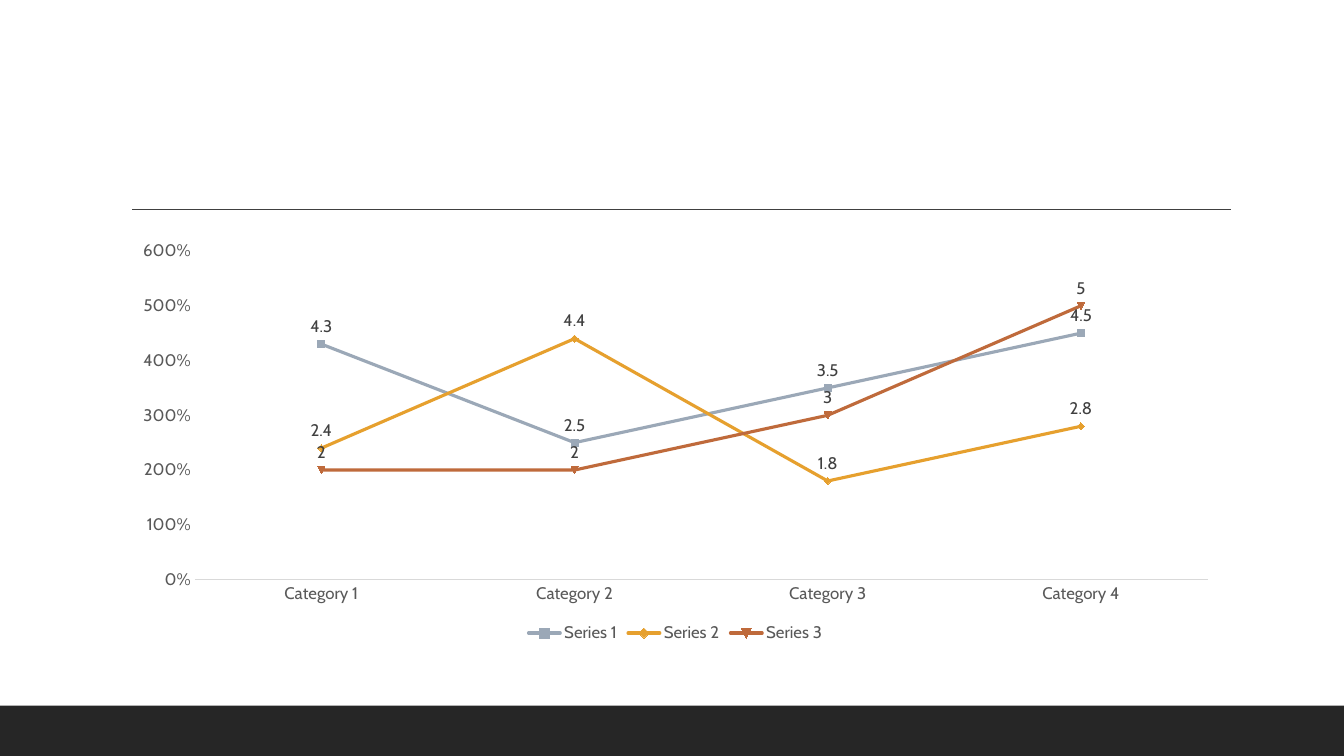
from lxml.etree import SubElement
from pptx import Presentation
from pptx.chart.data import CategoryChartData
from pptx.dml.color import RGBColor
from pptx.enum.chart import XL_CHART_TYPE, XL_LABEL_POSITION, XL_LEGEND_POSITION, XL_TICK_MARK
from pptx.enum.shapes import MSO_CONNECTOR, MSO_SHAPE
from pptx.oxml.ns import qn
from pptx.util import Inches, Pt

DARK = RGBColor(0x26, 0x26, 0x26)
INK = RGBColor(0x40, 0x40, 0x40)
GREY = RGBColor(0x59, 0x59, 0x59)
PALE = RGBColor(0xD9, 0xD9, 0xD9)
SLATE = RGBColor(0x9B, 0xA8, 0xB7)
AMBER = RGBColor(0xE6, 0xA0, 0x2E)
RUST = RGBColor(0xBF, 0x6A, 0x3B)

GROUPS = ["Category 1", "Category 2", "Category 3", "Category 4"]
TRENDS = [
    ("Series 1", (4.3, 2.5, 3.5, 4.5), SLATE),
    ("Series 2", (2.4, 4.4, 1.8, 2.8), AMBER),
    ("Series 3", (2, 2, 3, 5), RUST),
]


class Deck:
    """Holds the style and the current slide; lengths are percent of the slide."""

    face = "Cabin"
    size = Pt(12)

    def __init__(self):
        self.show = Presentation()
        self.show.slide_width = Inches(13.33)
        self.show.slide_height = Inches(7.5)
        self.slide = self.show.slides.add_slide(self.show.slide_layouts[6])

    def span(self, *shares):
        """Turn alternating across and down percentages into lengths."""
        sides = self.show.slide_width, self.show.slide_height
        return [round(sides[i % 2] * part / 100) for i, part in enumerate(shares)]

    def style(self, font, color):
        """Apply the deck's type in one colour."""
        font.name, font.size, font.bold = self.face, self.size, False
        font.color.rgb = color

    def band(self, box, color):
        """Draw a plain filled bar."""
        bar = self.slide.shapes.add_shape(MSO_SHAPE.RECTANGLE, *self.span(*box))
        bar.shadow.inherit = False
        bar.fill.solid()
        bar.fill.fore_color.rgb = color
        bar.line.fill.background()

    def rule(self, ends, color, width):
        """Draw a straight line."""
        line = self.slide.shapes.add_connector(MSO_CONNECTOR.STRAIGHT, *self.span(*ends))
        line.line.color.rgb = color
        line.line.width = Pt(width)
        SubElement(line._element.spPr, qn("a:effectLst"))

    def axis(self, axis):
        """Strip an axis of ticks and grid, and set its type."""
        axis.major_tick_mark = axis.minor_tick_mark = XL_TICK_MARK.NONE
        axis.has_major_gridlines = False
        self.style(axis.tick_labels.font, GREY)

    def trend(self, line, color):
        """Colour one series and label its points."""
        line.smooth = False
        line.format.line.color.rgb = color
        line.format.line.width = Pt(2.25)
        line.format.line._get_or_add_ln().set("cap", "rnd")
        line.marker.style = None
        tags = line.data_labels
        tags.show_value = True
        tags.position = XL_LABEL_POSITION.ABOVE
        self.style(tags.font, INK)

    def chart(self, box, groups, trends):
        """Add the line chart with its axes and legend."""
        data = CategoryChartData()
        data.categories = groups
        for name, values, _ in trends:
            data.add_series(name, values)
        chart = self.slide.shapes.add_chart(XL_CHART_TYPE.LINE, *self.span(*box), data).chart
        chart.has_title = False
        self.style(chart.font, GREY)
        chart.has_legend = True
        chart.legend.position = XL_LEGEND_POSITION.BOTTOM
        chart.legend.include_in_layout = False
        self.style(chart.legend.font, GREY)
        base, scale = chart.category_axis, chart.value_axis
        self.axis(base)
        self.axis(scale)
        base.format.line.color.rgb = PALE
        base.format.line.width = Pt(0.75)
        scale.format.line.fill.background()
        scale.tick_labels.number_format = "0%"
        scale.tick_labels.number_format_is_linked = False
        plot = chart.plots[0]
        plot.vary_by_categories = False
        for line, (_, _, color) in zip(plot.series, trends):
            self.trend(line, color)


def main():
    """Build and save the slide."""
    deck = Deck()
    deck.band((0, 93.33, 100, 6.67), DARK)
    deck.rule((9.83, 27.73, 91.6, 27.73), INK, 1)
    deck.chart((9, 30.8, 82.5, 54.8), GROUPS, TRENDS)
    deck.show.save("out.pptx")


if __name__ == "__main__":
    main()
